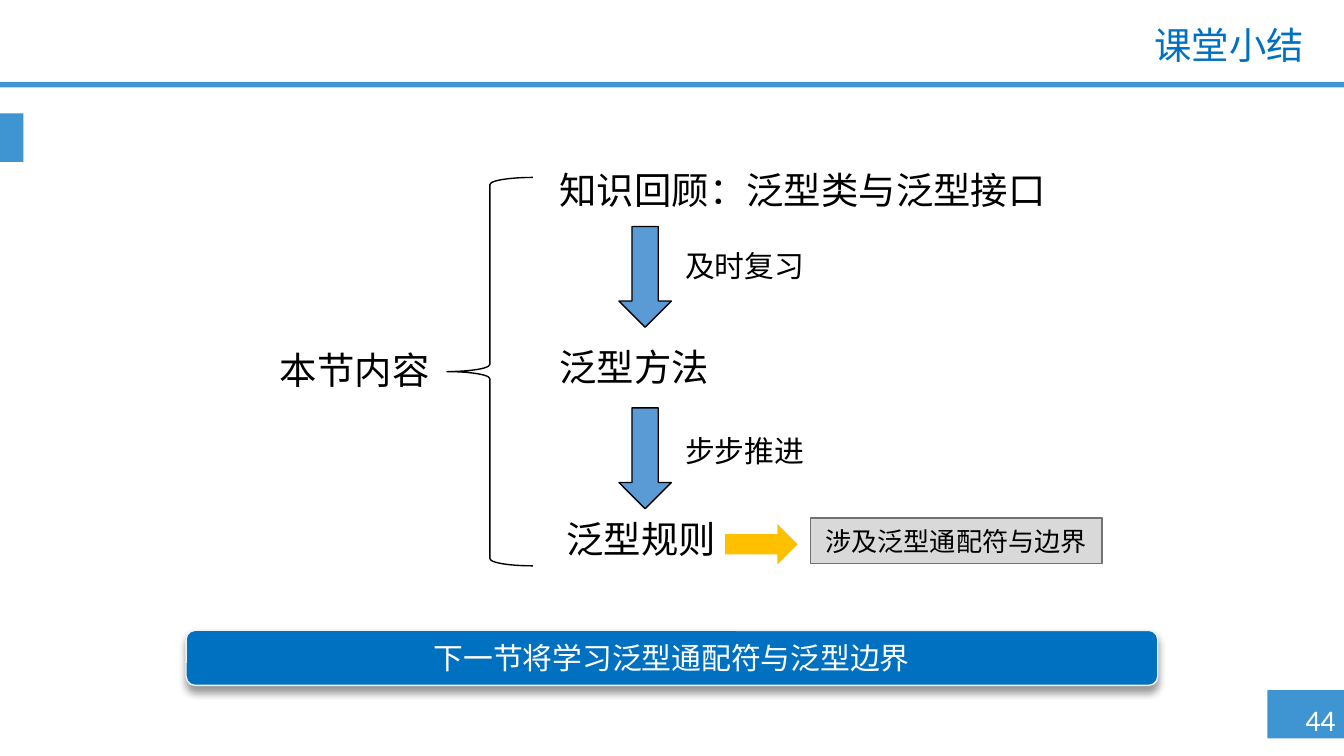
from dataclasses import dataclass, field

from lxml import etree
from pptx import Presentation
from pptx import util as u
from pptx.dml.color import RGBColor
from pptx.enum import shapes, text
from pptx.oxml.ns import qn

PX = 4572  # EMU in one px, 200 px to the inch
KIND = shapes.MSO_SHAPE
ALIGN = text.PP_ALIGN
ANCHOR = text.MSO_ANCHOR


@dataclass(frozen=True)
class Theme:
    accent: str = "3F95D2"
    blue: str = "0070C0"
    step: str = "5B9BD5"
    amber: str = "FFC000"
    grey: str = "D9D9D9"
    grey_line: str = "767171"
    pale: str = "F2F2F2"
    black: str = "000000"
    white: str = "FFFFFF"
    body: str = "Arial"
    heading: str = "Calibri"
    large: int = 20
    medium: int = 16
    small: int = 14


THEME = Theme()


@dataclass(frozen=True)
class Area:
    left: int
    top: int
    width: int
    height: int

    def emu(self) -> list:
        return [n * PX for n in (self.left, self.top, self.width, self.height)]


@dataclass(frozen=True)
class Words:
    wording: str
    size: int = THEME.large
    color: str = THEME.black
    font: str = THEME.body
    paragraph: dict = field(default_factory=dict)
    frame: dict = field(default_factory=dict)


@dataclass(frozen=True)
class Block:
    kind: KIND
    area: Area
    fill: str = ""
    line: str = ""
    words: Words = None


@dataclass(frozen=True)
class Step:
    top: int
    label_top: int
    label: str


def set_all(target, values: dict) -> None:
    for name, value in values.items():
        setattr(target, name, value)


def write(shape, words: Words) -> None:
    frame = shape.text_frame
    set_all(frame, {"word_wrap": True, **words.frame})
    para = frame.paragraphs[0]
    set_all(para, words.paragraph)
    span = para.add_run()
    span.text = words.wording
    set_all(span.font, {"name": words.font, "size": u.Pt(words.size)})
    span.font.color.rgb = RGBColor.from_string(words.color)


def add_text(page, area: Area, words: Words) -> None:
    write(page.shapes.add_textbox(*area.emu()), words)


def add_block(page, block: Block):
    shape = page.shapes.add_shape(block.kind, *block.area.emu())
    shape.shadow.inherit = False
    if block.fill:
        shape.fill.solid()
        shape.fill.fore_color.rgb = RGBColor.from_string(block.fill)
    else:
        shape.fill.background()
    if block.line:
        shape.line.color.rgb = RGBColor.from_string(block.line)
        shape.line.width = u.Pt(0.75)
    else:
        shape.line.fill.background()
    if block.words:
        write(shape, block.words)
    return shape


def add_shadow(shape, color: str) -> None:
    effects = shape._element.spPr.find(qn("a:effectLst"))
    shadow = etree.SubElement(effects, qn("a:outerShdw"), blurRad=str(u.Pt(4)),
                              dist=str(u.Pt(3)), dir="5400000", rotWithShape="0")
    tint = etree.SubElement(shadow, qn("a:srgbClr"), val=color)
    etree.SubElement(tint, qn("a:alpha"), val="40000")


CENTRE = {"alignment": ALIGN.CENTER}
MIDDLE = {"vertical_anchor": ANCHOR.MIDDLE, "margin_top": 0, "margin_bottom": 0}

# Page furniture
BANDS = [Area(1886, 1027, 114, 72), Area(0, 122, 2000, 8), Area(0, 169, 35, 72)]
NUMBER = Words("44 ", THEME.medium, THEME.white, THEME.heading, CENTRE,
               {"word_wrap": False})
TITLE = Words("课堂小结", THEME.large, THEME.blue, THEME.heading,
              {"alignment": ALIGN.RIGHT, "line_spacing": 0.9}, MIDDLE)

# Topics of the lesson and the steps between them
TOPICS = [
    (Area(292, 507, 472, 88), Words("本节内容", paragraph=CENTRE)),
    (Area(813, 239, 926, 88), Words("知识回顾：泛型类与泛型接口")),
    (Area(813, 502, 926, 88), Words("泛型方法")),
    (Area(823, 758, 276, 88), Words("泛型规则")),
]
STEPS = [Step(337, 359, "及时复习"), Step(607, 634, "步步推进")]
BRACE = Block(KIND.LEFT_BRACE, Area(665, 264, 128, 578), line=THEME.black)

# Outlook
POINTER = Block(KIND.RIGHT_ARROW, Area(1079, 780, 108, 60), THEME.amber)
REMARK = Block(KIND.RECTANGLE, Area(1206, 771, 434, 68), THEME.grey, THEME.grey_line,
               Words("涉及泛型通配符与边界", THEME.small, paragraph=CENTRE, frame=MIDDLE))
BANNER = Block(KIND.ROUNDED_RECTANGLE, Area(277, 938, 1446, 82), THEME.blue, THEME.pale,
               Words("下一节将学习泛型通配符与泛型边界", THEME.medium, THEME.white,
                     paragraph=CENTRE, frame=MIDDLE))


def main() -> None:
    deck = Presentation()
    set_all(deck, {"slide_width": 2000 * PX, "slide_height": 1125 * PX})
    page = deck.slides.add_slide(deck.slide_layouts[6])

    for area in BANDS:
        add_block(page, Block(KIND.RECTANGLE, area, THEME.accent))
    add_text(page, Area(1918, 1035, 104, 74), NUMBER)
    add_text(page, Area(480, 30, 1480, 82), TITLE)

    add_block(page, BRACE)
    for area, words in TOPICS:
        add_text(page, area, words)
    for step in STEPS:
        add_block(page, Block(KIND.DOWN_ARROW, Area(921, step.top, 78, 150),
                              THEME.step, THEME.black))
        add_text(page, Area(1000, step.label_top, 698, 74),
                 Words(step.label, THEME.medium))

    banner = add_block(page, BANNER)
    add_shadow(banner, THEME.black)
    add_block(page, POINTER)
    add_block(page, REMARK)

    deck.save("out.pptx")


if __name__ == "__main__":
    main()
